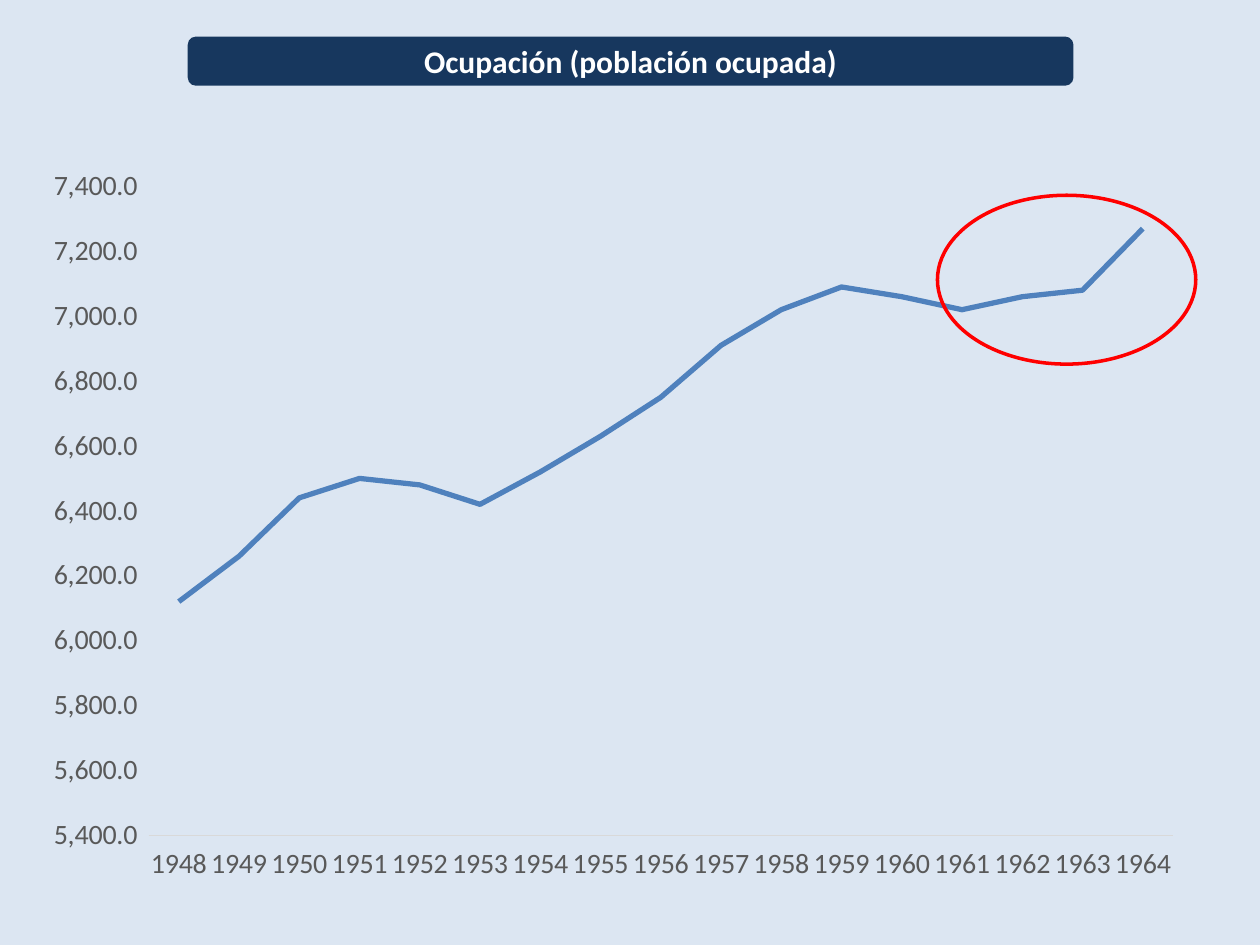
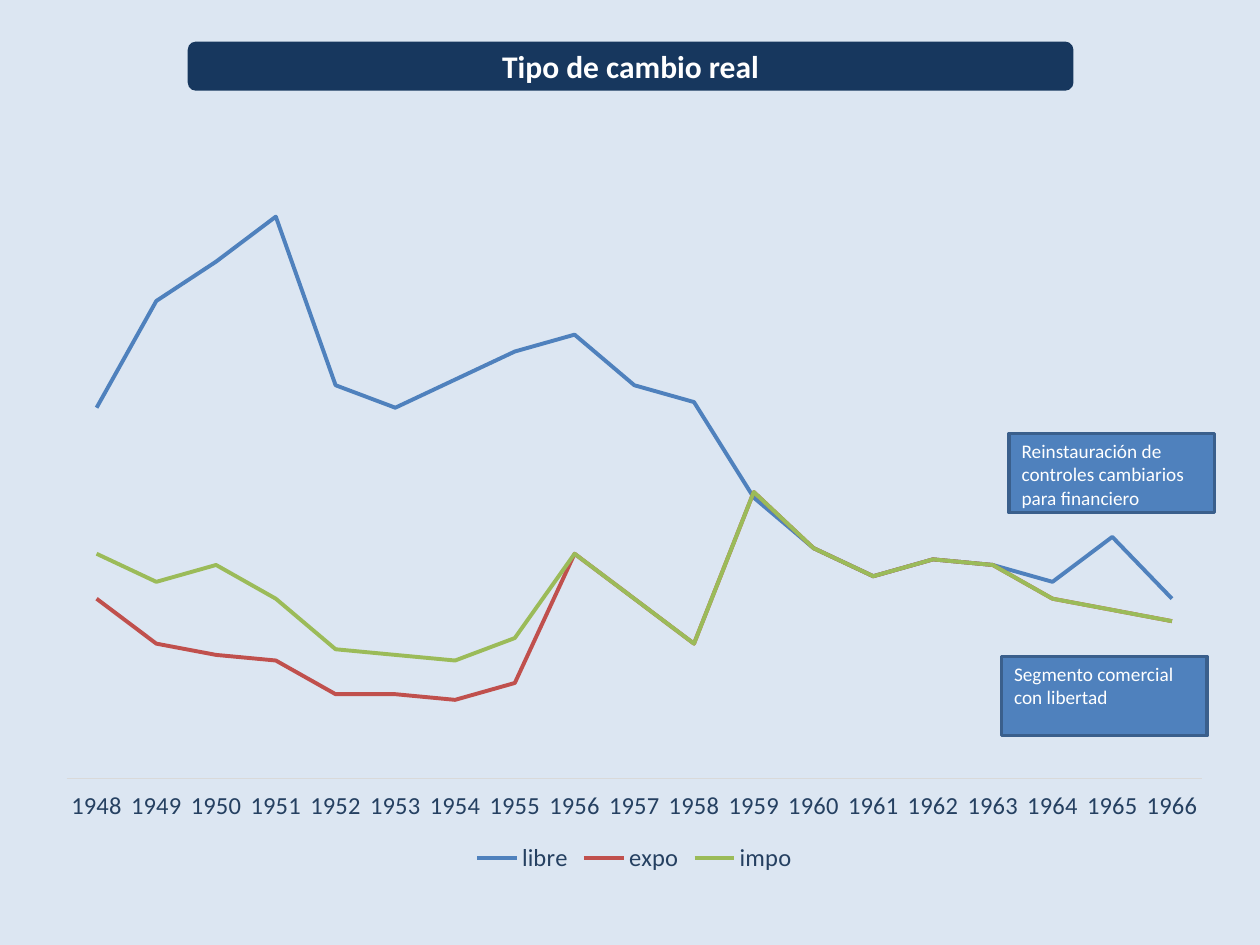
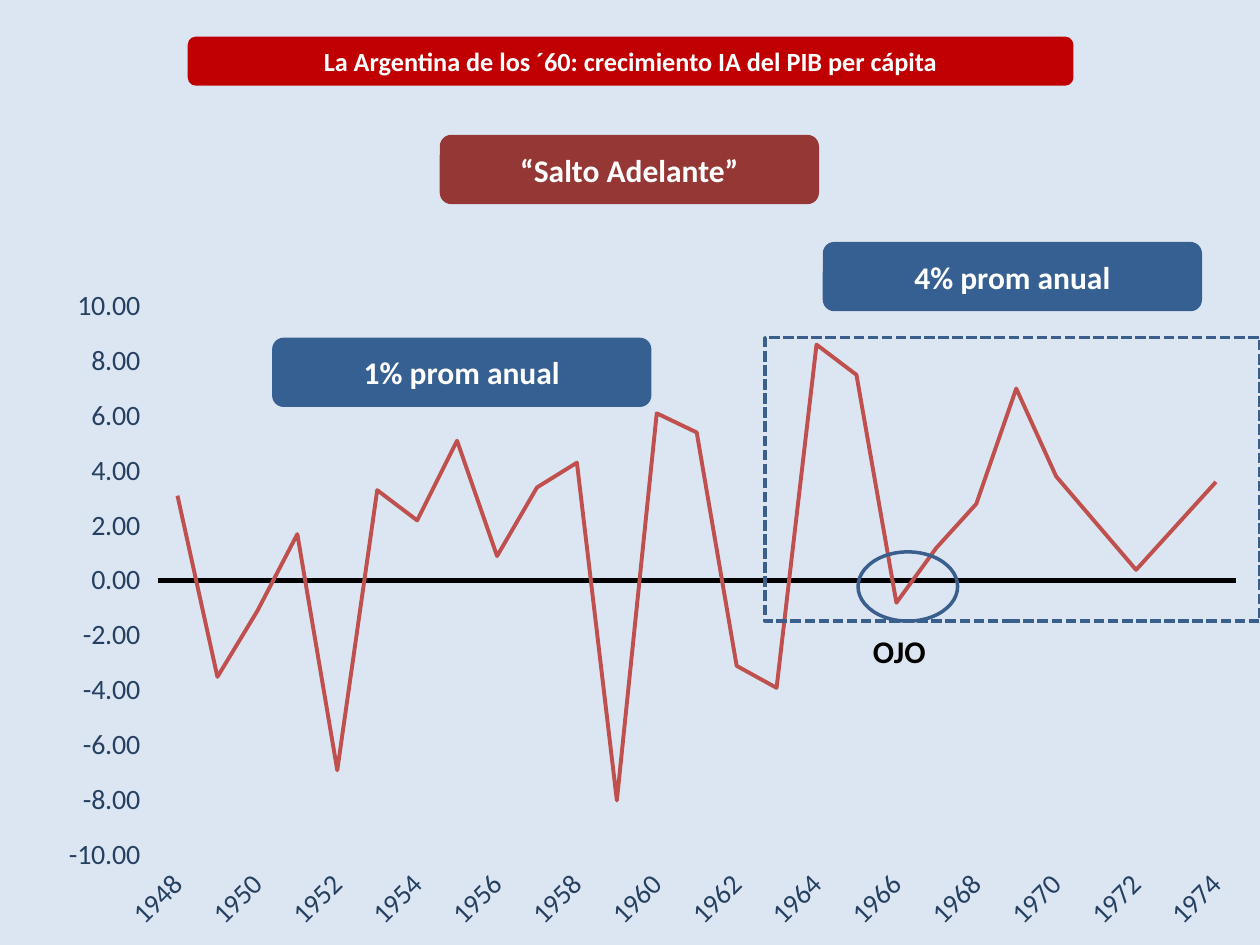
from lxml import etree
from pptx import Presentation
from pptx.chart.data import CategoryChartData
from pptx.dml.color import RGBColor
from pptx.enum.chart import (XL_CHART_TYPE as ChartType, XL_LEGEND_POSITION as LegendPosition,
                             XL_TICK_LABEL_POSITION as LabelPosition, XL_TICK_MARK as TickMark)
from pptx.enum.dml import MSO_LINE as Dash
from pptx.enum.shapes import MSO_SHAPE as Preset
from pptx.enum.text import MSO_ANCHOR as Anchor, PP_ALIGN as Align
from pptx.oxml import parse_xml
from pptx.oxml.ns import nsdecls, qn
from pptx.util import Inches, Pt

FONT = "Calibri"
BACKGROUND, WHITE, BLACK = "DCE6F2", "FFFFFF", "000000"
NAVY, DARK_BLUE, STEEL, OUTLINE = "17375E", "254061", "376092", "3A5F8C"
BLUE, RED, GREEN = "4F81BD", "C0504D", "9BBB59"
CRIMSON, MAROON, BRIGHT_RED = "C00000", "953735", "FF0000"
GRAY, LIGHT_GRAY = "595959", "D9D9D9"


def rgb(color):
    return RGBColor.from_string(color)


def style_font(font, size, color, bold=False):
    font.name, font.size, font.bold = FONT, Pt(size), bold
    font.color.rgb = rgb(color)


def years(first, last):
    return [str(year) for year in range(first, last + 1)]


class Deck:
    def __init__(self):
        self.presentation = Presentation()
        self.presentation.slide_width = Inches(10)
        self.presentation.slide_height = Inches(7.5)
        fill = self.presentation.slide_master.background.fill
        fill.solid()
        fill.fore_color.rgb = rgb(BACKGROUND)
        self.slide = None

    def add_slide(self, title, top=0.29, color=NAVY, size=18):
        """Start a slide whose title sits on a rounded band."""
        layout = self.presentation.slide_layouts.get_by_name("Title Only")
        self.slide = self.presentation.slides.add_slide(layout)
        box = (1.49, top, 7.03, 0.39)
        band = self.shape(Preset.ROUNDED_RECTANGLE, box, fill=color)
        placeholder = self.slide.shapes.title
        band._element.addnext(placeholder._element)
        (placeholder.left, placeholder.top,
         placeholder.width, placeholder.height) = map(Inches, box)
        self.set_text(placeholder, title, size, bold=True, align=Align.CENTER,
                      anchor=Anchor.MIDDLE)

    def set_text(self, shape, text, size, color=WHITE, bold=False, align=Align.LEFT,
                 anchor=Anchor.TOP, wrap=True):
        frame = shape.text_frame
        frame.text = text
        frame.word_wrap = wrap
        frame.vertical_anchor = anchor
        paragraph = frame.paragraphs[0]
        paragraph.alignment = align
        style_font(paragraph.font, size, color, bold)

    def shape(self, preset, box, fill=None, line=None, dash=None):
        shape = self.slide.shapes.add_shape(preset, *map(Inches, box))
        shape.shadow.inherit = False
        if fill:
            shape.fill.solid()
            shape.fill.fore_color.rgb = rgb(fill)
        else:
            shape.fill.background()
        if line:
            shape.line.color.rgb = rgb(line)
            shape.line.width = Pt(2)
            if dash:
                shape.line.dash_style = dash
        else:
            shape.line.fill.background()
        return shape

    def badge(self, text, left, top, color):
        shape = self.shape(Preset.ROUNDED_RECTANGLE, (left, top, 3.01, 0.55), fill=color)
        self.set_text(shape, text, 18, bold=True, align=Align.CENTER, anchor=Anchor.MIDDLE)

    def callout(self, text, left, top):
        shape = self.shape(Preset.RECTANGLE, (left, top, 1.63, 0.63), fill=BLUE, line=OUTLINE)
        self.set_text(shape, text, 11)

    def label(self, text, box):
        self.set_text(self.slide.shapes.add_textbox(*map(Inches, box)), text, 18, BLACK,
                      bold=True, wrap=False)

    def line_chart(self, box, plot, categories, series, limits, step, number_format="General",
                   size=16, color=DARK_BLUE, width=2.25, axis_line=(LIGHT_GRAY, 0.75)):
        """Add a line chart; series holds (name, color, values), plot is in slide inches."""
        data = CategoryChartData()
        data.categories = categories
        for name, _, values in series:
            data.add_series(name, values)
        chart = self.slide.shapes.add_chart(ChartType.LINE, *map(Inches, box), data).chart
        style_font(chart.font, size, color)
        chart.has_title = chart.has_legend = False
        chart.plots[0].vary_by_categories = False
        for line, (_, line_color, _) in zip(chart.plots[0].series, series):
            line.smooth = False
            line.format.line.color.rgb = rgb(line_color)
            line.format.line.width = Pt(width)

        category_axis, value_axis = chart.category_axis, chart.value_axis
        for axis in (category_axis, value_axis):
            axis.has_major_gridlines = False
            axis.major_tick_mark = axis.minor_tick_mark = TickMark.NONE
            style_font(axis.tick_labels.font, size, color)
        category_axis.tick_label_position = LabelPosition.LOW
        category_axis.format.line.color.rgb = rgb(axis_line[0])
        category_axis.format.line.width = Pt(axis_line[1])
        value_axis.minimum_scale, value_axis.maximum_scale = limits
        value_axis.major_unit = step
        value_axis.format.line.fill.background()
        value_axis.tick_labels.number_format = number_format
        value_axis.tick_labels.number_format_is_linked = False
        self.place_plot(chart, box, plot)
        return chart

    @staticmethod
    def place_plot(chart, box, plot):
        """Fix the inner plot area inside the chart frame."""
        left, top, width, height = box
        fractions = {"x": (plot[0] - left) / width, "y": (plot[1] - top) / height,
                     "w": plot[2] / width, "h": plot[3] / height}
        modes = '<c:layoutTarget val="inner"/><c:xMode val="edge"/><c:yMode val="edge"/>'
        sizes = "".join(f'<c:{key} val="{value:.4f}"/>' for key, value in fractions.items())
        layout = parse_xml(f'<c:layout {nsdecls("c")}><c:manualLayout>{modes}{sizes}'
                           '</c:manualLayout></c:layout>')
        plot_area = chart._chartSpace.chart.plotArea
        for old in plot_area.findall(qn("c:layout")):
            plot_area.remove(old)
        plot_area.insert(0, layout)


def slant_alternate_labels(axis):
    element = axis._element
    element.find(f"{qn('c:txPr')}/{qn('a:bodyPr')}").set("rot", "-2700000")
    skip = etree.Element(qn("c:tickLblSkip"), val="2")
    element.find(qn("c:noMultiLvlLbl")).addprevious(skip)


def add_employment(deck):
    deck.add_slide("Ocupación (población ocupada)")
    employed = [6120, 6260, 6440, 6500, 6480, 6420, 6520, 6630, 6750, 6910, 7020, 7090,
                7060, 7020, 7060, 7080, 7270]
    deck.line_chart((0.2, 1.23, 9.29, 5.83), (1.18, 1.48, 8.13, 5.15), years(1948, 1964),
                    [("Ocupación", BLUE, employed)], (5400, 7400), 200, "#,##0.0_ ",
                    color=GRAY, width=3)
    deck.shape(Preset.OVAL, (7.44, 1.55, 2.05, 1.34), line=BRIGHT_RED)


def add_exchange_rate(deck):
    deck.add_slide("Tipo de cambio real", top=0.33)
    unified = [51, 41, 36, 39, 38, 32, 30, 28]
    series = [
        ("libre", BLUE, [66, 85, 92, 100, 70, 66, 71, 76, 79, 70, 67,
                         50, 41, 36, 39, 38, 35, 43, 32]),
        ("expo", RED, [32, 24, 22, 21, 15, 15, 14, 17, 40, 32, 24] + unified),
        ("impo", GREEN, [40, 35, 38, 32, 23, 22, 21, 25, 40, 32, 24] + unified),
    ]
    chart = deck.line_chart((0.35, 0.99, 9.37, 5.98), (0.53, 1.72, 9.01, 4.46),
                            years(1948, 1966), series, (0, 100), 20, size=14)
    chart.value_axis.visible = False
    chart.has_legend = True
    chart.legend.position = LegendPosition.BOTTOM
    chart.legend.include_in_layout = False
    style_font(chart.legend.font, 14, DARK_BLUE)
    deck.callout("Reinstauración de controles cambiarios para financiero", 8.01, 3.44)
    deck.callout("Segmento comercial con libertad", 7.95, 5.21)


def add_growth(deck):
    deck.add_slide("La Argentina de los ´60: crecimiento IA del PIB per cápita",
                   color=CRIMSON, size=15)
    growth = [3.1, -3.5, -1.1, 1.7, -6.9, 3.3, 2.2, 5.1, 0.9, 3.4, 4.3, -8, 6.1, 5.4,
              -3.1, -3.9, 8.6, 7.5, -0.8, 1.2, 2.8, 7, 3.8, 2.1, 0.4, 2, 3.6]
    chart = deck.line_chart((0.35, 2.19, 9.65, 5.31), (1.25, 2.43, 8.56, 4.36),
                            years(1948, 1974), [("Crecimiento", RED, growth)], (-10, 10), 2,
                            "#,##0.00\\ \\ ", axis_line=(BLACK, 3))
    slant_alternate_labels(chart.category_axis)
    deck.shape(Preset.RECTANGLE, (6.07, 2.68, 3.93, 2.25), line=OUTLINE, dash=Dash.SQUARE_DOT)
    deck.badge("“Salto Adelante”", 3.49, 1.07, MAROON)
    deck.badge("1% prom anual", 2.16, 2.68, STEEL)
    deck.badge("4% prom anual", 6.53, 1.92, STEEL)
    deck.shape(Preset.OVAL, (6.81, 4.38, 0.79, 0.55), line=OUTLINE)
    deck.label("OJO", (6.83, 4.97, 0.62, 0.4))


def main():
    deck = Deck()
    add_employment(deck)
    add_exchange_rate(deck)
    add_growth(deck)
    deck.presentation.save("out.pptx")


if __name__ == "__main__":
    main()
